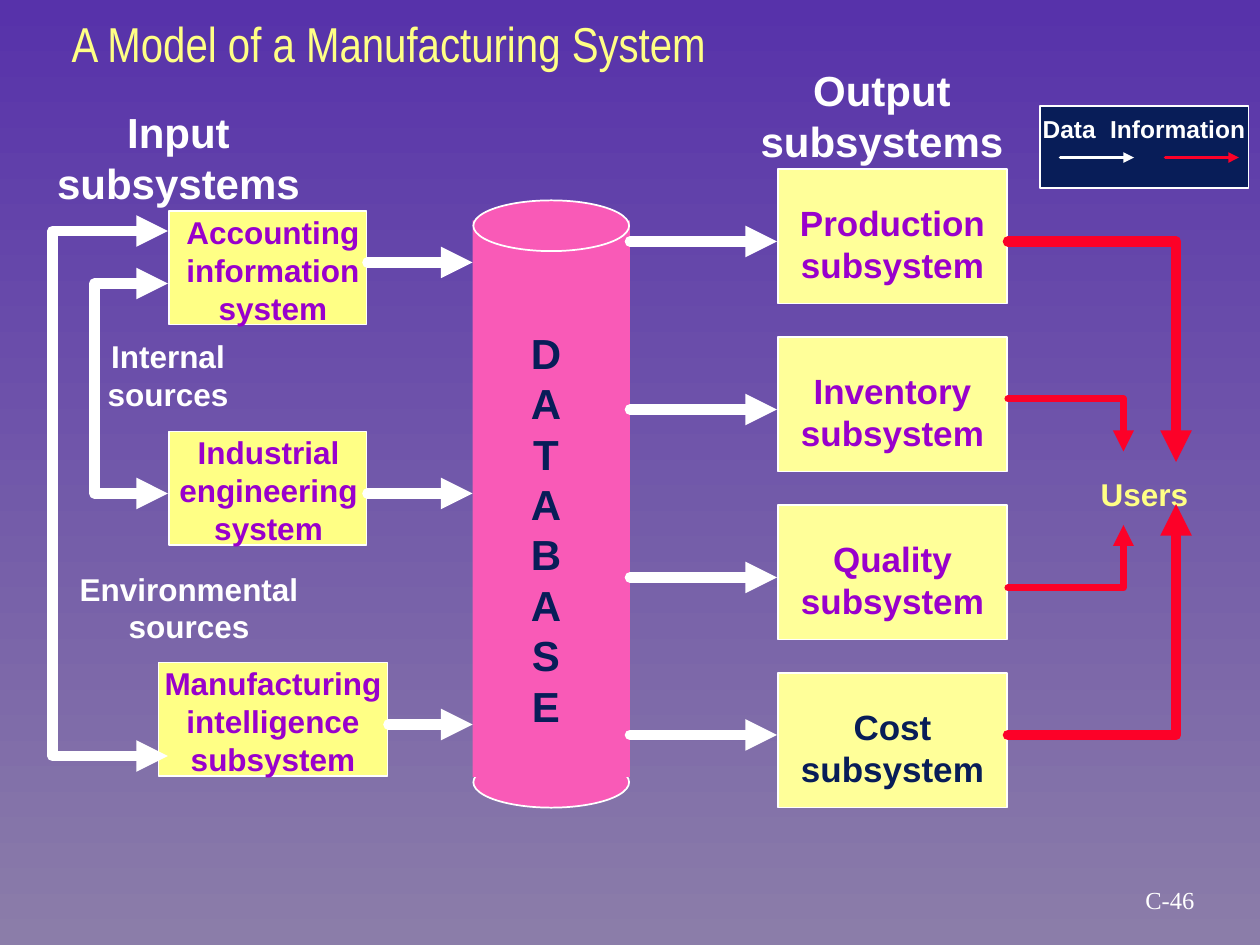
from lxml import etree
from pptx import Presentation
from pptx.dml.color import RGBColor
from pptx.enum import shapes as es, text as et
from pptx.oxml.ns import qn
from pptx.util import Pt

INK = {
    "top": "5732AA", "base": "8B7DA9", "white": "FFFFFF", "navy": "081D58",
    "pink": "F95AB7", "lemon": "FFFF85", "cream": "FFFF99",
    "plum": "9900CC", "red": "FC0128",
}
RECT, OVAL = es.MSO_SHAPE.RECTANGLE, es.MSO_SHAPE.OVAL


def rgb(name):
    return RGBColor.from_string(INK[name])


def paint(slide):
    """Shade the background from top to bottom."""
    fill = slide.background.fill
    fill.gradient()
    fill.gradient_angle = 270
    for stop, name in zip(fill.gradient_stops, ("top", "base")):
        stop.color.rgb = rgb(name)


def write(frame, words, size, ink, font="Arial", bold=True):
    frame.text = words
    frame.word_wrap = False
    frame.auto_size = et.MSO_AUTO_SIZE.NONE
    frame.vertical_anchor = et.MSO_ANCHOR.TOP
    for para in frame.paragraphs:
        para.alignment = et.PP_ALIGN.CENTER
        for run in para.runs:
            run.font.size, run.font.name, run.font.bold = Pt(size), font, bold
            run.font.color.rgb = rgb(ink)


def label(slide, words, mid, top, width, size, ink="white", **style):
    """Add a text box centred on mid, as tall as its lines."""
    high = (words.count("\n") + 1) * size * 1.2 + 7.2
    box = slide.shapes.add_textbox(Pt(mid - width / 2), Pt(top), Pt(width), Pt(high))
    write(box.text_frame, words, size, ink, **style)


def block(slide, kind, area, fill, edge=True):
    shape = slide.shapes.add_shape(kind, *map(Pt, area))
    shape.shadow.inherit = False
    shape.fill.solid()
    shape.fill.fore_color.rgb = rgb(fill)
    if edge:
        shape.line.color.rgb = rgb("white")
        shape.line.width = Pt(1)
    else:
        shape.line.fill.background()
    return shape


def panel(slide, area, fill, words, size, ink, drop, shift=0):
    """Add a box whose text starts drop points down, moved right by shift."""
    frame = block(slide, RECT, area, fill).text_frame
    frame.margin_left, frame.margin_top = Pt(2 * shift), Pt(drop)
    frame.margin_right = frame.margin_bottom = 0
    write(frame, words, size, ink)


def arrow(slide, points, ink="white", width=6, both=False):
    """Draw a straight or bent arrow through the points."""
    spots = [(Pt(x), Pt(y)) for x, y in points]
    if len(spots) == 2:
        line = slide.shapes.add_connector(es.MSO_CONNECTOR.STRAIGHT, *spots[0], *spots[1])
        etree.SubElement(line._element.spPr, qn("a:effectLst"))
    else:
        path = slide.shapes.build_freeform(*spots[0], scale=1.0)
        path.add_line_segments(spots[1:], close=False)
        line = path.convert_to_shape()
        line.shadow.inherit = False
        line.fill.background()
    line.line.color.rgb = rgb(ink)
    line.line.width = Pt(width)
    pen = line._element.spPr.find(qn("a:ln"))
    pen.set("cap", "rnd")
    etree.SubElement(pen, qn("a:round"))
    for end in ("a:headEnd", "a:tailEnd") if both else ("a:tailEnd",):
        etree.SubElement(pen, qn(end), type="triangle")


def title(slide, words):
    head = slide.shapes.title
    head.left, head.top, head.width, head.height = map(Pt, (0, 4, 444, 41))
    write(head.text_frame, words, 28, "lemon", font="Arial Narrow", bold=False)


def store(slide):
    """Draw the database drum with its name down the side."""
    left, wide, cap = 270.5, 89, 29
    block(slide, OVAL, (left, 432.5, wide, cap), "pink")
    block(slide, RECT, (left - 0.5, 126, wide + 1, 318), "pink", edge=False)
    block(slide, OVAL, (left, 114.5, wide, cap), "pink")
    label(slide, "\n".join("DATABASE"), 312, 183.5, 32, 24, "navy")


def inputs(slide):
    label(slide, "Input\nsubsystems", 102, 57.5, 153, 24)
    rows = (
        ("Accounting\ninformation\nsystem", 96.5, 120.5, 113, 3, 150),
        ("Industrial\nengineering\nsystem", 96.5, 246.5, 113, 0.5, 282),
        ("Manufacturing\nintelligence\nsubsystem", 90.5, 378.5, 131, 0, 414),
    )
    for words, left, top, wide, shift, y in rows:
        panel(slide, (left, top, wide, 65), "lemon", words, 18, "plum", 1.2, shift)
        arrow(slide, [(left + wide + 0.5, y), (270, y)])
    for x, top, base in ((30, 132, 432), (54, 162, 282)):
        arrow(slide, [(96, top), (x, top), (x, base), (96, base)], both=True)
    label(slide, "Internal\nsources", 96, 189, 84, 18)
    label(slide, "Environmental\nsources", 108, 322, 140, 18)


def outputs(slide):
    label(slide, "Output\nsubsystems", 504, 33.5, 153, 24)
    names = ("Production", "Inventory", "Quality", "Cost")
    for row, (name, y) in enumerate(zip(names, (138, 234, 330, 420))):
        ink = "navy" if name == "Cost" else "plum"
        area = (444.5, 96.5 + 96 * row, 131, 77)
        panel(slide, area, "cream", name + "\nsubsystem", 20, ink, 18.7)
        arrow(slide, [(360, y), (444, y)])


def users(slide):
    label(slide, "Users", 654, 268, 64, 18, "lemon")
    routes = ((138, 672, 264, 6), (420, 672, 288, 6), (228, 642, 258, 4), (336, 642, 300, 4))
    for y, x, end, width in routes:
        arrow(slide, [(576, y), (x, y), (x, end)], "red", width)


def legend(slide):
    block(slide, RECT, (594.5, 60.5, 119, 47), "navy")
    keys = (("Data", 611, 45, 606, "white"), ("Information", 673, 92, 666, "red"))
    for name, mid, wide, left, ink in keys:
        label(slide, name, mid, 61.5, wide, 14)
        arrow(slide, [(left, 90), (left + 42, 90)], ink, 2)


def main():
    deck = Presentation()
    deck.slide_width, deck.slide_height = Pt(720), Pt(540)
    slide = deck.slides.add_slide(deck.slide_layouts[5])
    paint(slide)
    title(slide, "A Model of a Manufacturing System")
    store(slide)
    inputs(slide)
    outputs(slide)
    users(slide)
    legend(slide)
    label(slide, "C-46", 668.5, 502, 87, 14, font="Times New Roman", bold=False)
    deck.save("out.pptx")


if __name__ == "__main__":
    main()
